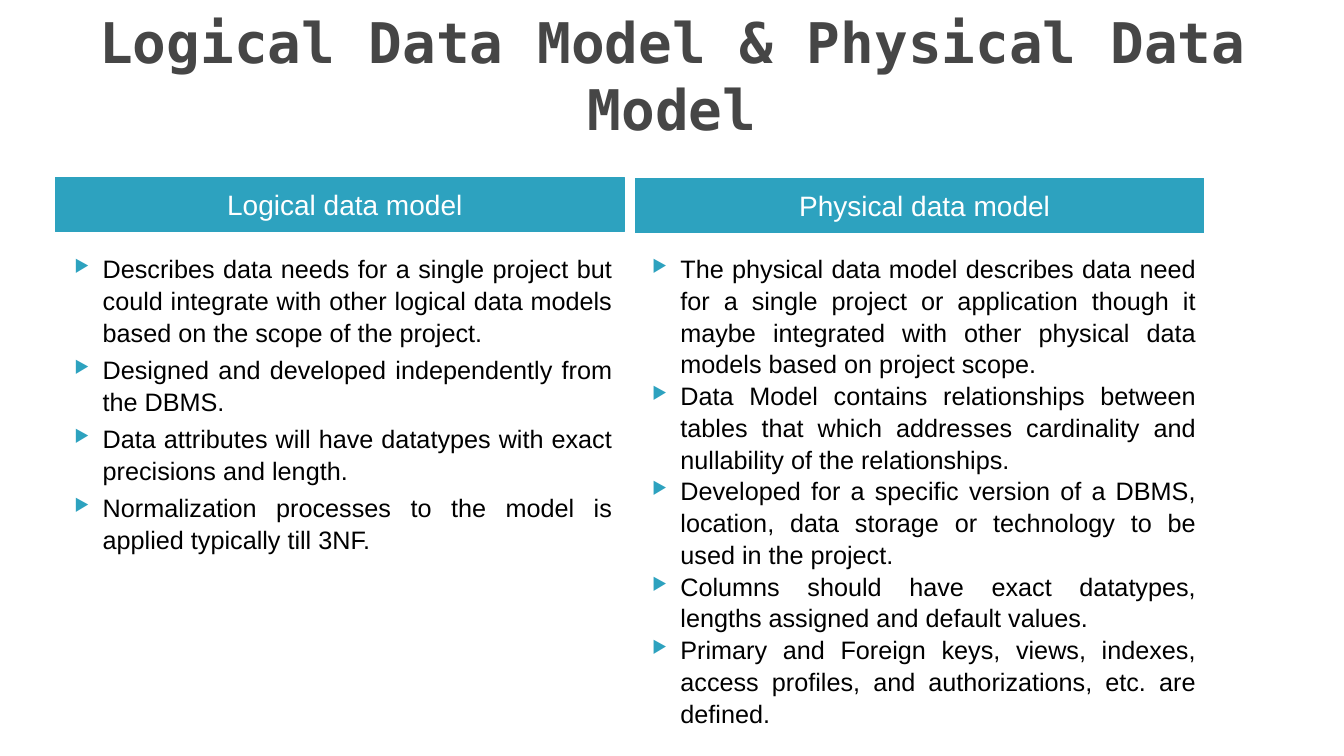
from lxml import etree
from pptx import Presentation
from pptx.dml.color import RGBColor
from pptx.enum.shapes import MSO_SHAPE
from pptx.enum.text import MSO_ANCHOR, MSO_AUTO_SIZE, PP_ALIGN
from pptx.oxml.ns import qn
from pptx.util import Inches, Pt

TITLE = "Logical Data Model & Physical Data Model"
COLUMNS = [
    {
        "heading": "Logical data model",
        "space_before": 4,
        "header_box": (0.55, 1.76, 5.64, 0.54),
        "body_box": (0.52, 2.45, 5.65, 4.03),
        "points": [
            "Describes data needs for a single project but could integrate with other logical data models based on the scope of the project.",
            "Designed and developed independently from the DBMS.",
            "Data attributes will have datatypes with exact precisions and length.",
            "Normalization processes to the model is applied typically till 3NF.",
        ],
    },
    {
        "heading": "Physical data model",
        "space_before": 0,
        "header_box": (6.3, 1.77, 5.64, 0.54),
        "body_box": (6.25, 2.45, 5.71, 4.03),
        "points": [
            "The physical data model describes data need for a single project or application though it maybe integrated with other physical data models based on project scope.",
            "Data Model contains relationships between tables that which addresses cardinality and nullability of the relationships.",
            "Developed for a specific version of a DBMS, location, data storage or technology to be used in the project.",
            "Columns should have exact datatypes, lengths assigned and default values.",
            "Primary and Foreign keys, views, indexes, access profiles, and authorizations, etc. are defined.",
        ],
    },
]

TEAL = RGBColor(0x2D, 0xA2, 0xBF)
GREY = RGBColor(0x46, 0x46, 0x46)
WHITE = RGBColor(0xFF, 0xFF, 0xFF)
BLACK = RGBColor(0, 0, 0)
CENTER, JUSTIFY = PP_ALIGN.CENTER, PP_ALIGN.JUSTIFY
MIDDLE, TOP = MSO_ANCHOR.MIDDLE, MSO_ANCHOR.TOP
NO_AUTOFIT = MSO_AUTO_SIZE.NONE
RECTANGLE = MSO_SHAPE.RECTANGLE

TITLE_FONT = {"name": "DejaVu Sans Mono", "size": Pt(40), "bold": True}
HEADER_FONT = {"name": "Arial", "size": Pt(20), "bold": False}
BODY_FONT = {"name": "Arial", "size": Pt(18), "bold": False}


def set_attributes(target, values):
    for name, value in values.items():
        setattr(target, name, value)


def inches(box):
    return [Inches(length) for length in box]


def write(shape, lines, font, color, align, anchor, left_margin=0.1, **spacing):
    frame = shape.text_frame
    set_attributes(frame, {
        "text": "\n".join(lines), "word_wrap": True, "auto_size": NO_AUTOFIT,
        "vertical_anchor": anchor, "margin_left": Inches(left_margin),
        "margin_right": Inches(0.1), "margin_top": Inches(0.05),
        "margin_bottom": Inches(0.05),
    })
    for paragraph in frame.paragraphs:
        set_attributes(paragraph, {"alignment": align, **spacing})
        for run in paragraph.runs:
            set_attributes(run.font, font)
            run.font.color.rgb = color
    return frame.paragraphs


def add_bullet(paragraph):
    properties = paragraph._p.get_or_add_pPr()
    properties.set("marL", str(Inches(0.4)))
    properties.set("indent", str(Inches(-0.28)))
    bullet_color = etree.SubElement(properties, qn("a:buClr"))
    etree.SubElement(bullet_color, qn("a:srgbClr"), val=str(TEAL))
    etree.SubElement(properties, qn("a:buSzPct"), val="68000")
    etree.SubElement(properties, qn("a:buChar"), char="\u25b6")


presentation = Presentation()
presentation.slide_width = Inches(13.33)
presentation.slide_height = Inches(7.5)
slide = presentation.slides.add_slide(presentation.slide_layouts[5])

title = slide.shapes.title
set_attributes(title, {"left": 0, "top": 0, "width": presentation.slide_width,
                       "height": Inches(1.48)})
write(title, [TITLE], TITLE_FONT, GREY, CENTER, MIDDLE)

for column in COLUMNS:
    header = slide.shapes.add_shape(RECTANGLE, *inches(column["header_box"]))
    header.shadow.inherit = False
    header.fill.solid()
    header.fill.fore_color.rgb = TEAL
    header.line.color.rgb = TEAL
    header.line.width = Pt(0.76)
    write(header, [column["heading"]], HEADER_FONT, WHITE, CENTER, MIDDLE,
          left_margin=0.2, space_before=Pt(4))

    body = slide.shapes.add_textbox(*inches(column["body_box"]))
    for paragraph in write(body, column["points"], BODY_FONT, BLACK, JUSTIFY, TOP,
                           space_before=Pt(column["space_before"]), line_spacing=1.05):
        add_bullet(paragraph)

presentation.save("out.pptx")
